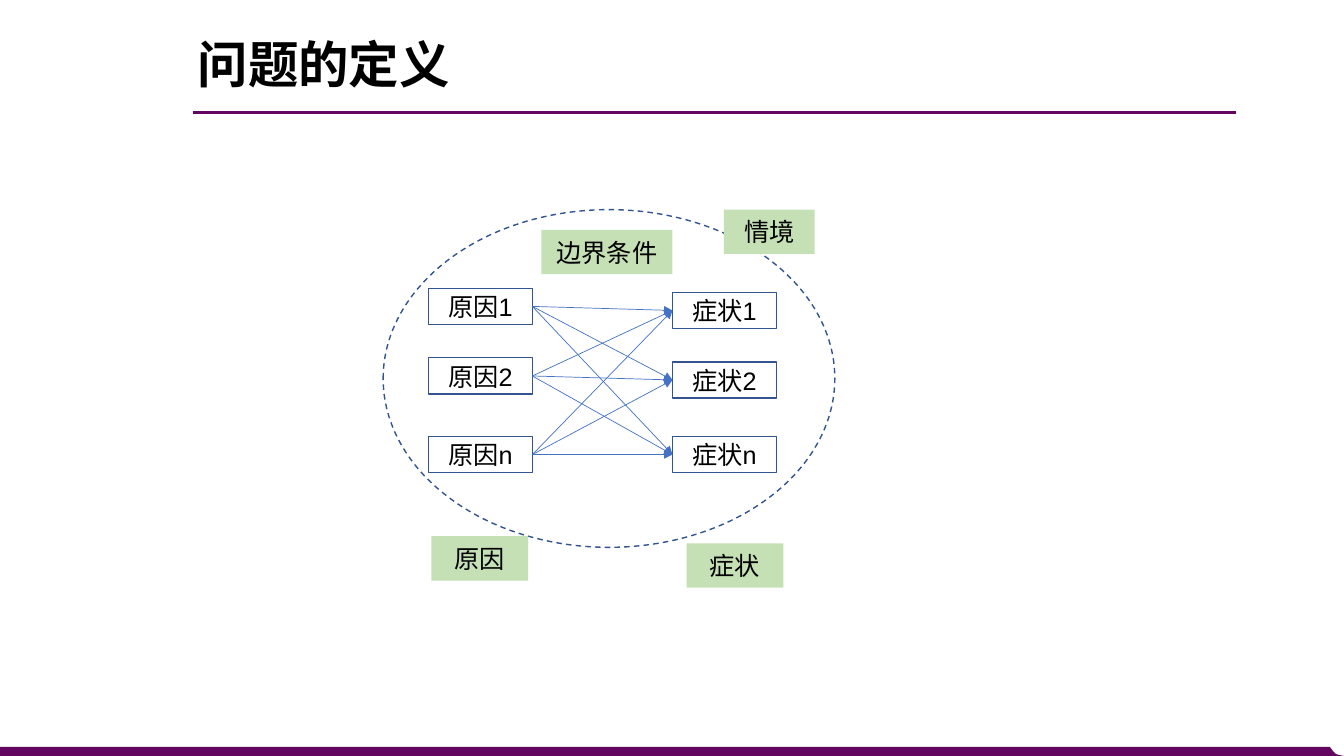
from lxml import etree
from pptx import Presentation
from pptx.dml.color import RGBColor
from pptx.enum.dml import MSO_LINE
from pptx.enum.shapes import MSO_CONNECTOR, MSO_SHAPE
from pptx.enum.text import MSO_ANCHOR, PP_ALIGN
from pptx.oxml.ns import qn
from pptx.util import Inches, Pt

COLORS = {
    name: RGBColor.from_string(value)
    for name, value in {
        "purple": "63065F",
        "outline": "325491",
        "arrow": "4472C4",
        "label": "C5E0B4",
        "text": "000000",
    }.items()
}
CJK_FONT = "Noto Sans CJK SC"

presentation = Presentation()
presentation.slide_width = Inches(13.33)
presentation.slide_height = Inches(7.5)
slide = presentation.slides.add_slide(presentation.slide_layouts[6])
shapes = slide.shapes


def add_figure(kind, box, text="", fill=None, outline=None):
    """Add a preset shape with optional centred text, fill and outline."""
    shape = shapes.add_shape(kind, *map(Inches, box))
    shape.shadow.inherit = False
    if fill:
        shape.fill.solid()
        shape.fill.fore_color.rgb = COLORS[fill]
    else:
        shape.fill.background()
    if outline:
        shape.line.color.rgb = COLORS[outline]
        shape.line.width = Pt(1)
    else:
        shape.line.fill.background()
    if text:
        frame = shape.text_frame
        frame.text = text
        frame.vertical_anchor = MSO_ANCHOR.MIDDLE
        frame.margin_left = frame.margin_right = 0
        paragraph = frame.paragraphs[0]
        paragraph.alignment = PP_ALIGN.CENTER
        font = paragraph.runs[0].font
        font.name, font.size = "Arial", Pt(18)
        font.color.rgb = COLORS["text"]
    return shape


def add_line(start, end, color, width):
    ends = map(Inches, (*start, *end))
    line = shapes.add_connector(MSO_CONNECTOR.STRAIGHT, *ends)
    line.line.color.rgb = COLORS[color]
    line.line.width = Pt(width)
    etree.SubElement(line._element.spPr, qn("a:effectLst"))
    return line


# Footer band with its rounded right end
footer_points = [(13.19, 7.41), (13.22, 7.45), (13.25, 7.48), (13.28, 7.49),
                 (13.33, 7.5), (0, 7.5)]
builder = shapes.build_freeform(0, Inches(7.41))
builder.add_line_segments([(Inches(x), Inches(y)) for x, y in footer_points])
footer = builder.convert_to_shape()
footer.shadow.inherit = False
footer.fill.solid()
footer.fill.fore_color.rgb = COLORS["purple"]
footer.line.fill.background()

add_line((1.91, 1.12), (12.26, 1.12), "purple", 2.25)

# Causes on the left, symptoms on the right
CAUSE_LEFT, SYMPTOM_LEFT = 4.25, 6.67
BOX_WIDTH, BOX_HEIGHT = 1.03, 0.36
cause_tops = [2.86, 3.55, 4.33]
symptom_tops = [2.9, 3.59, 4.33]
columns = [("症状", SYMPTOM_LEFT, symptom_tops), ("原因", CAUSE_LEFT, cause_tops)]
for word, left, tops in columns:
    for suffix, top in zip("12n", tops):
        add_figure(MSO_SHAPE.RECTANGLE, (left, top, BOX_WIDTH, BOX_HEIGHT),
                   word + suffix, outline="outline")

# Every cause points to every symptom
for cause_top in cause_tops:
    for symptom_top in symptom_tops:
        arrow = add_line((CAUSE_LEFT + BOX_WIDTH, cause_top + BOX_HEIGHT / 2),
                         (SYMPTOM_LEFT, symptom_top + BOX_HEIGHT / 2), "arrow", 0.5)
        etree.SubElement(arrow.line._get_or_add_ln(), qn("a:tailEnd"), type="triangle")

boundary = add_figure(MSO_SHAPE.OVAL, (3.8, 2.08, 4.48, 3.35), outline="outline")
boundary.line.dash_style = MSO_LINE.DASH

labels = [
    ("症状", 6.81, 5.39, 0.96),
    ("原因", 4.28, 5.32, 0.96),
    ("情境", 7.18, 2.08, 0.9),
    ("边界条件", 5.37, 2.28, 1.3),
]
for text, left, top, width in labels:
    add_figure(MSO_SHAPE.RECTANGLE, (left, top, width, 0.44), text, fill="label")

title = shapes.add_textbox(Inches(1.89), Inches(0.4), Inches(6.38), Inches(0.53))
title_frame = title.text_frame
title_frame.word_wrap = True
title_frame.margin_left = Inches(0.07)
title_frame.margin_top = title_frame.margin_bottom = 0
title_frame.text = "问题的定义"
title_paragraph = title_frame.paragraphs[0]
title_paragraph.line_spacing = 0.9
title_font = title_paragraph.runs[0].font
title_font.name, title_font.size, title_font.bold = CJK_FONT, Pt(36), True
title_font.color.rgb = COLORS["text"]

# Chinese characters take their typeface from the East Asian font
for properties in slide.element.iter(qn("a:rPr")):
    latin = properties.find(qn("a:latin"))
    latin.addnext(etree.Element(qn("a:ea"), typeface=CJK_FONT))

presentation.save("out.pptx")
